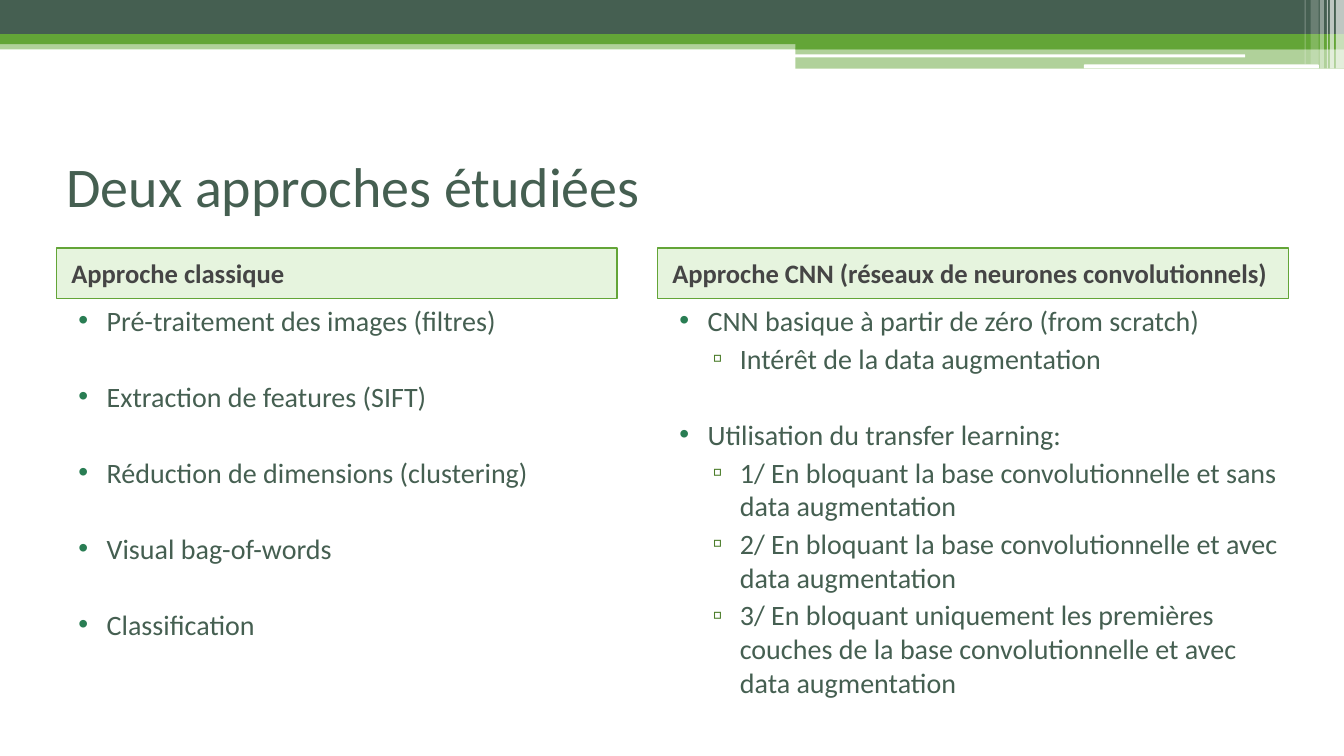
from lxml import etree
from pptx import Presentation
from pptx import util as u
from pptx.dml.color import RGBColor
from pptx.enum import shapes, text
from pptx.oxml.ns import qn

COLORS = {
    "dark": "455F51", "green": "63A537", "pale": "9FD47D", "white": "FFFFFF",
    "heading": "454545", "bullet": "297D53", "sub_bullet": "4A7C29",
}
FONT = "Calibri"
WIDTH, HEIGHT = u.Inches(13.33), u.Inches(7.5)
SLIDE_BOX = (0, 0, WIDTH, HEIGHT)
RECT = shapes.MSO_SHAPE.RECTANGLE
ROUND = shapes.MSO_SHAPE.ROUNDED_RECTANGLE

BANDS = [
    (RECT, 0, 5.33, 100, 1.2, "green", 50),
    (RECT, 0, 0, 100, 4.53, "dark", 100),
    (RECT, 0, 4.53, 100, 1.33, "green", 100),
    (RECT, 59.19, 5.2, 40.81, 1.33, "green", 100),
    (RECT, 59.19, 6.4, 40.81, 2.67, "green", 50),
    (ROUND, 59.11, 7.2, 33.53, 0.4, "white", 100),
    (ROUND, 80.65, 8.53, 17.48, 0.53, "white", 100),
]
STRIPES = [
    (99.4, 0.6, 9.07, 65), (98.95, 0.3, 9.07, 65), (98.72, 0.08, 9.07, 60),
    (98.2, 0.3, 9.07, 40), (97.52, 0.6, 8.53, 20), (97.07, 0.08, 8.53, 30),
]
LEVELS = [
    dict(left=0.4, hanging=0.28, bullet="•", bullet_color="bullet"),
    dict(left=0.72, hanging=0.27, bullet="▫", bullet_color="sub_bullet"),
]
LINE_GAP, GROUP_GAP = 3, 30.3
CLASSIC = [
    (0, "Pré-traitement des images (filtres)", LINE_GAP),
    (0, "Extraction de features (SIFT)", GROUP_GAP),
    (0, "Réduction de dimensions (clustering)", GROUP_GAP),
    (0, "Visual bag-of-words", GROUP_GAP),
    (0, "Classification", GROUP_GAP),
]
CNN = [
    (0, "CNN basique à partir de zéro (from scratch)", LINE_GAP),
    (1, "Intérêt de la data augmentation", LINE_GAP),
    (0, "Utilisation du transfer learning:", GROUP_GAP),
    (1, "1/ En bloquant la base convolutionnelle et sans data augmentation", LINE_GAP),
    (1, "2/ En bloquant la base convolutionnelle et avec data augmentation", LINE_GAP),
    (1, "3/ En bloquant uniquement les premières couches de la base "
        "convolutionnelle et avec data augmentation", LINE_GAP),
]


def rgb(name):
    return RGBColor.from_string(COLORS[name])


def part(box, left, top, width, height):
    x, y, w, h = box
    return (round(x + w * left / 100), round(y + h * top / 100),
            round(w * width / 100), round(h * height / 100))


def add_block(page, kind, box, color, opacity=100, line=None):
    block = page.shapes.add_shape(kind, *box)
    block.shadow.inherit = False
    block.fill.solid()
    block.fill.fore_color.rgb = rgb(color)
    if opacity < 100:
        tint = block.fill._xPr.find(qn("a:solidFill"))[0]
        etree.SubElement(tint, qn("a:alpha"), val=str(opacity * 1000))
    if line:
        block.line.color.rgb = rgb(line)
        block.line.width = u.Pt(1)
    else:
        block.line.fill.background()
    return block


def write(para, words, size=20, color="dark", bold=False, before=0,
          left=0, hanging=0, bullet=None, bullet_color=None):
    para.alignment = text.PP_ALIGN.LEFT
    para.space_before = u.Pt(before)
    span = para.add_run()
    span.text = words
    span.font.name = FONT
    span.font.size = u.Pt(size)
    span.font.bold = bold
    span.font.color.rgb = rgb(color)
    props = para._p.get_or_add_pPr()
    props.set("marL", str(u.Inches(left)))
    props.set("indent", str(-u.Inches(hanging)))
    if bullet:
        tint = etree.SubElement(props, qn("a:buClr"))
        etree.SubElement(tint, qn("a:srgbClr"), val=COLORS[bullet_color])
        etree.SubElement(props, qn("a:buFont"), typeface="Arial")
        etree.SubElement(props, qn("a:buChar"), char=bullet)


def add_banner(page, box):
    for kind, left, top, width, height, color, opacity in BANDS:
        add_block(page, kind, part(box, left, top, width, height), color, opacity)
    for left, width, height, opacity in STRIPES:
        add_block(page, RECT, part(box, left, 0, width, height), "white", opacity)


def add_title(page, box, words):
    title = page.shapes.title
    title.left, title.top, title.width, title.height = box
    title.text_frame.vertical_anchor = text.MSO_ANCHOR.MIDDLE
    write(title.text_frame.paragraphs[0], words, size=40)


def add_approach(page, box, heading, items):
    header = add_block(page, RECT, part(box, 0, 0, 100, 10.53), "pale", 25, "green")
    header.text_frame.word_wrap = True
    header.text_frame.vertical_anchor = text.MSO_ANCHOR.MIDDLE
    write(header.text_frame.paragraphs[0], heading, size=19, color="heading",
          bold=True, before=LINE_GAP, left=0.05)

    frame = page.shapes.add_textbox(*part(box, 0, 10.53, 100, 89.47)).text_frame
    frame.word_wrap = True
    for index, (level, words, before) in enumerate(items):
        para = frame.add_paragraph() if index else frame.paragraphs[0]
        para.level = level
        write(para, words, before=before, **LEVELS[level])


def main():
    deck = Presentation()
    deck.slide_width, deck.slide_height = WIDTH, HEIGHT
    page = deck.slides.add_slide(deck.slide_layouts[5])
    add_banner(page, SLIDE_BOX)
    add_title(page, part(SLIDE_BOX, 4.2, 16.67, 91.67, 15.6), "Deux approches étudiées")
    add_approach(page, part(SLIDE_BOX, 4.2, 32.8, 41.71, 63.33),
                 "Approche classique", CLASSIC)
    add_approach(page, part(SLIDE_BOX, 48.91, 32.8, 46.96, 63.33),
                 "Approche CNN (réseaux de neurones convolutionnels)", CNN)
    deck.save("out.pptx")


if __name__ == "__main__":
    main()
